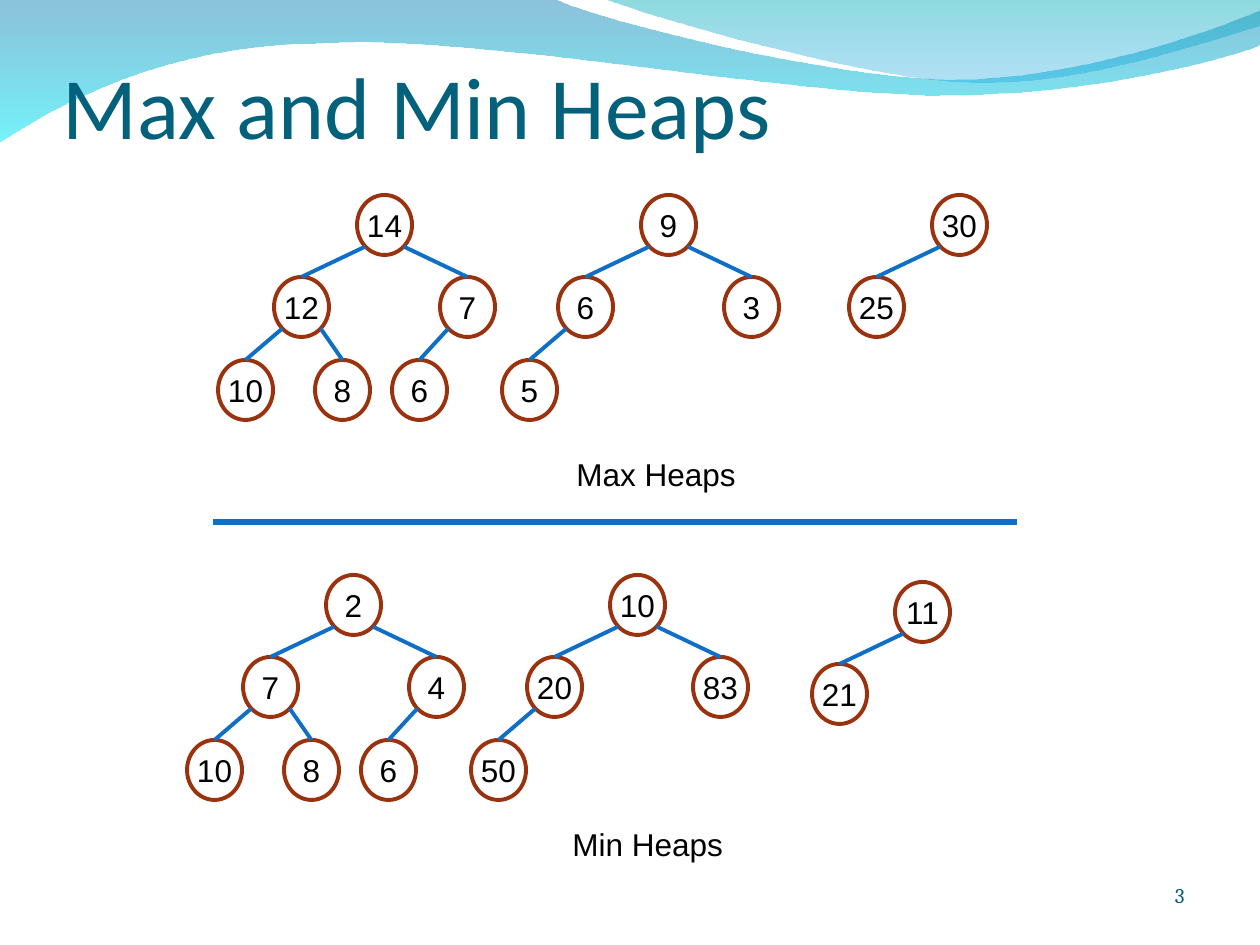
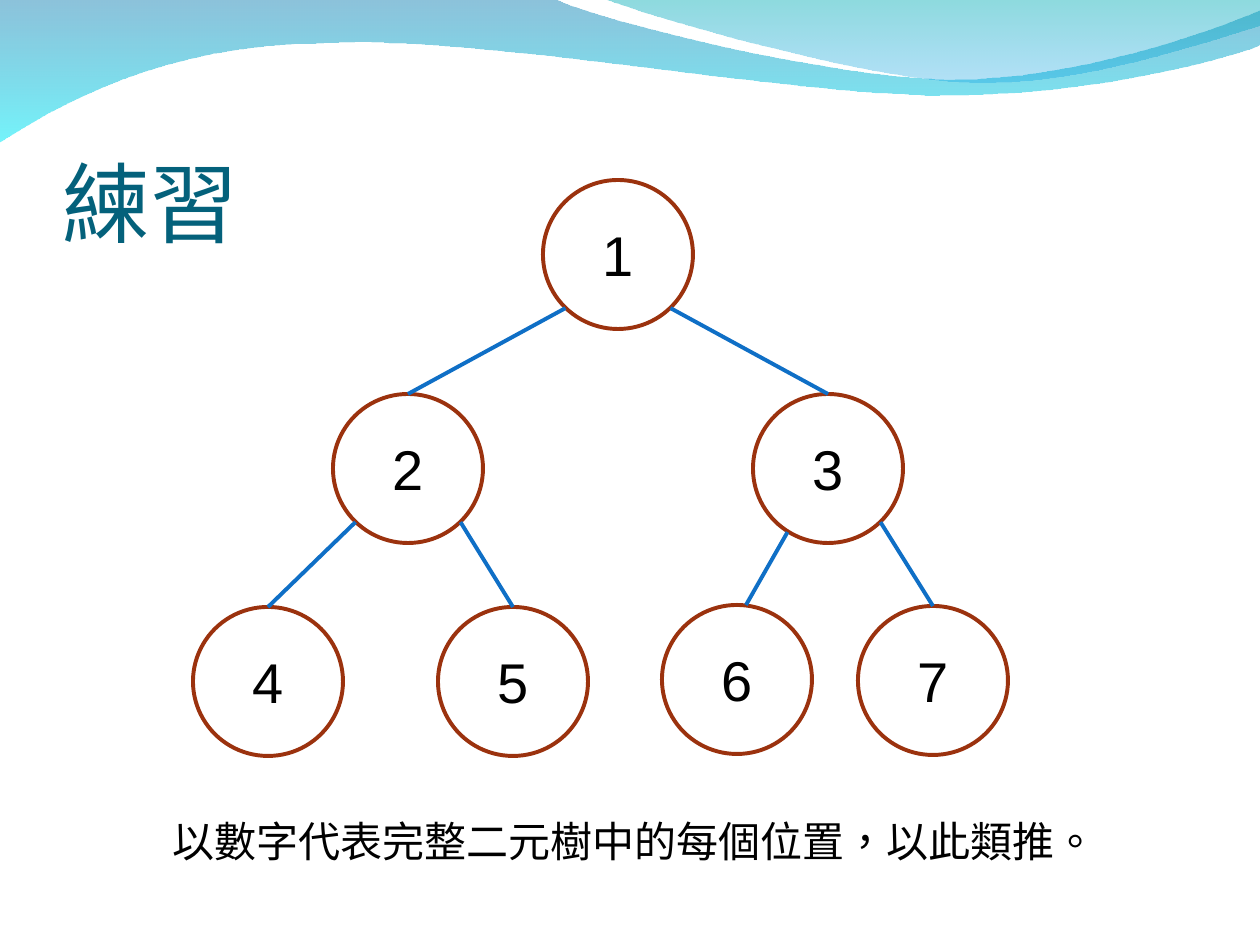
"""Build two slides on heaps and the numbering of a complete binary tree."""
from lxml import etree
from pptx import Presentation
from pptx.dml.color import RGBColor
from pptx.enum.lang import MSO_LANGUAGE_ID
from pptx.enum.shapes import MSO_CONNECTOR, MSO_SHAPE
from pptx.enum.text import MSO_ANCHOR, PP_ALIGN
from pptx.oxml.ns import qn
from pptx.util import Pt

PX = 914400 / 126
LEFT, MID, RIGHT = PP_ALIGN.LEFT, PP_ALIGN.CENTER, PP_ALIGN.RIGHT
TOP, CORE, BASE = MSO_ANCHOR.TOP, MSO_ANCHOR.MIDDLE, MSO_ANCHOR.BOTTOM
OVAL, LINE = MSO_SHAPE.OVAL, MSO_CONNECTOR.STRAIGHT
HAN = MSO_LANGUAGE_ID.TRADITIONAL_CHINESE
BLACK = RGBColor(0x00, 0x00, 0x00)
TEAL = RGBColor(0x04, 0x61, 0x7B)
PAGE = RGBColor(0x04, 0x5C, 0x75)
RUST = RGBColor(0x9B, 0x32, 0x0E)
BLUE = RGBColor(0x0F, 0x6F, 0xC6)
DEEP = RGBColor(0x00, 0x79, 0xAF)
AQUA = RGBColor(0x00, 0xEB, 0xF8)
SEA = RGBColor(0x00, 0xAD, 0xB6)
SKY = RGBColor(0x00, 0x9B, 0xE5)
SANS, CJK = "Arial", "Noto Sans CJK SC"


def emu(*marks):
    """Turn px into EMU."""
    return [round(mark * PX) for mark in marks]


def write(frame, text, size, face, color, align):
    """Put one styled paragraph into a text frame."""
    para = frame.paragraphs[0]
    para.text, para.alignment = text, align
    font = para.font
    font.size, font.name, font.color.rgb = Pt(size), face, color
    if text >= "一":
        font.language_id = HAN
    if face == CJK:
        props = para._p.pPr.find(qn("a:defRPr"))
        etree.SubElement(props, qn("a:ea"), typeface=CJK)


deck = Presentation()
deck.slide_width, deck.slide_height = emu(1260, 945)
heaps, drill = [deck.slides.add_slide(deck.slide_layouts[6]) for _ in range(2)]

waves = [
    ([(0, -1), (554, -1), (600, 21, 837, 79, 955, 79),
      (1075, 79, 1207, 33, 1260, 11), (1261, 45),
      (1239, 55, 1096, 96, 940, 95), (784, 95, 481, 35, 324, 43),
      (163, 44, 58, 105, -1, 142)], (DEEP, 45), (AQUA, 55)),
    ([(604, -1), (641, 14, 859, 78, 969, 82),
      (1079, 87, 1211, 40, 1260, 26), (1260, 0)], (SEA, 45), (SKY, 30)),
]
for slide in (heaps, drill):
    for (start, *steps), *tints in waves:
        dots = [emu(*step[k:k + 2]) for step in steps for k in range(0, len(step), 2)]
        pen = slide.shapes.build_freeform(*emu(*start))
        pen.add_line_segments(dots, close=True)
        wave = pen.convert_to_shape()
        wave.shadow.inherit = False
        wave.line.fill.background()
        wave.fill.gradient()
        wave.fill.gradient_angle = 270
        for stop, (tint, _) in zip(wave.fill.gradient_stops, tints):
            stop.color.rgb = tint
        for node, (_, share) in zip(wave._element.iter(qn("a:srgbClr")), tints):
            etree.SubElement(node, qn("a:alpha"), val=str(share * 1000))
        legs = iter(list(wave._element.iter(qn("a:lnTo"))))
        for step in steps:
            leg = next(legs)
            if len(step) == 6:
                curve = etree.Element(qn("a:cubicBezTo"))
                leg.addprevious(curve)
                for part in (leg, next(legs), next(legs)):
                    curve.append(part[0])
                    part.getparent().remove(part)

texts = [
    (heaps, (63, 0, 1134, 157), "Max and Min Heaps", 50, "Calibri", TEAL, LEFT, BASE),
    (drill, (63, 97, 1134, 157), "練習", 50, CJK, TEAL, LEFT, BASE),
    (heaps, (1092, 876, 105, 50), "3", 12, "Cambria", PAGE, RIGHT, TOP),
    (heaps, (564, 449, 224, 65), "Max Heaps", 18, SANS, BLACK, LEFT, TOP),
    (heaps, (560, 819, 185, 50), "Min Heaps", 18, SANS, BLACK, LEFT, TOP),
    (drill, (157, 809, 955, 63), "以數字代表完整二元樹中的每個位置，以此類推。",
     24, SANS, BLACK, MID, TOP),
]
for slide, area, text, size, face, color, align, anchor in texts:
    frame = slide.shapes.add_textbox(*emu(*area)).text_frame
    frame.word_wrap = True
    frame.vertical_anchor = anchor
    if anchor == BASE:
        frame.margin_left = frame.margin_right = frame.margin_bottom = 0
    write(frame, text, size, face, color, align)

small = (55, 60, 18, [(0, 0), (-83, 82), (83, 82),
                      (-139, 165), (-42, 165), (35, 165)])
large = (150, 149, 32, [(0, 0), (-210, 214), (210, 214), (-350, 427),
                        (-105, 427), (119, 425, 12, 10, 9), (315, 426)])
trees = [
    (heaps, 357, 195, small, (14, 12, 7, 10, 8, 6)),
    (heaps, 641, 195, small, (9, 6, 3, 5)),
    (heaps, 932, 195, small, (30, 25)),
    (heaps, 326, 575, small, (2, 7, 4, 10, 8, 6)),
    (heaps, 610, 575, small, (10, 20, 83, 50)),
    (heaps, 895, 582, small, (11, 21)),
    (drill, 543, 180, large, range(1, 8)),
]
links = [(heaps, (213, 522, 1017, 522), 3)]
for slide, left, top, (wide, high, size, slots), keys in trees:
    for n, (key, (dx, dy, *bend)) in enumerate(zip(keys, slots)):
        ball = slide.shapes.add_shape(OVAL, *emu(left + dx, top + dy, wide, high))
        ball.shadow.inherit = False
        ball.fill.background()
        ball.line.color.rgb, ball.line.width = RUST, Pt(2.25)
        ball.text_frame.word_wrap = False
        ball.text_frame.vertical_anchor = CORE
        write(ball.text_frame, str(key), size, SANS, BLACK, MID)
        if n:
            px, py = slots[(n - 1) // 2][:2]
            side = 0.15 if n % 2 else 0.85
            right, down, tip = bend or (0, 0, 0)
            links.append((slide, (left + px + wide * side + right,
                                  top + py + high * 0.86 + down,
                                  left + dx + wide / 2 + tip, top + dy), 2.25))

for slide, ends, width in links:
    link = slide.shapes.add_connector(LINE, *emu(*ends))
    link.line.color.rgb, link.line.width = BLUE, Pt(width)
    etree.SubElement(link._element.spPr, qn("a:effectLst"))

deck.save("out.pptx")
